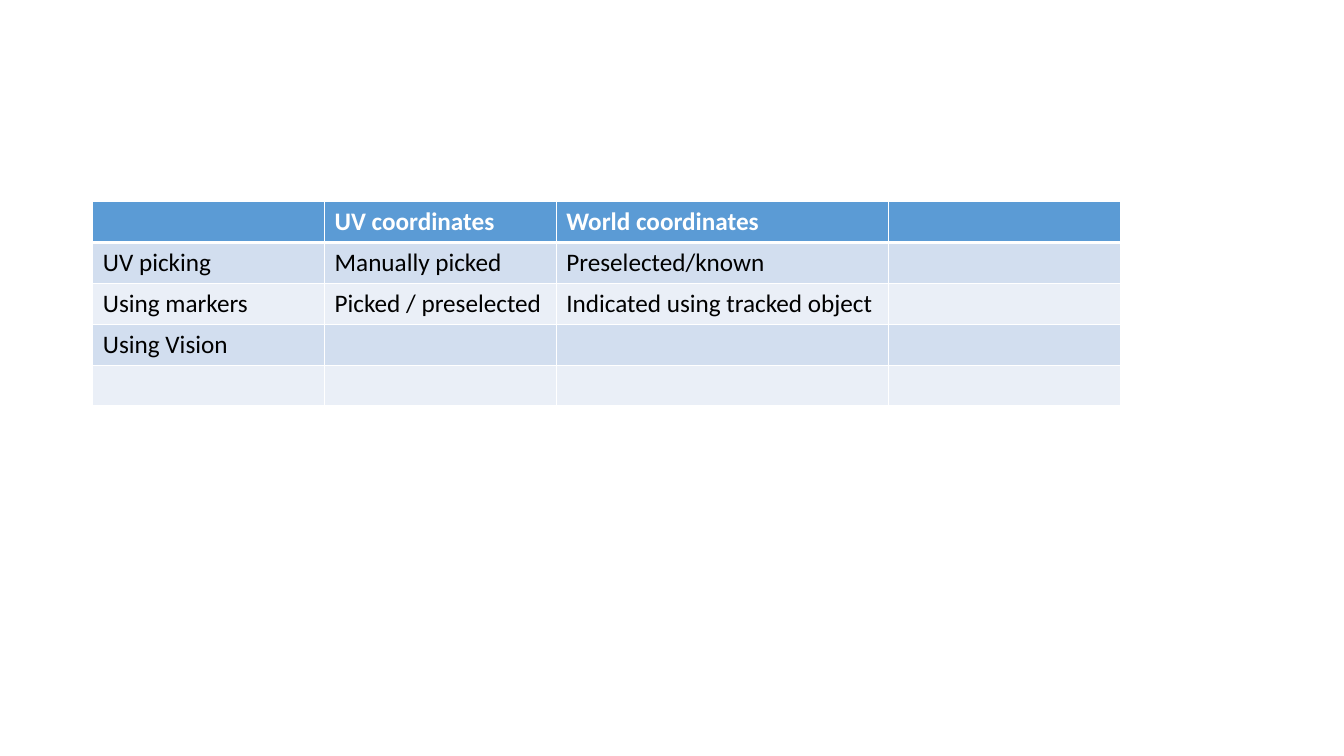
from dataclasses import dataclass

from lxml.etree import SubElement
from pptx import Presentation
from pptx.dml.color import RGBColor
from pptx.oxml.ns import qn
from pptx.util import Cm, Pt


@dataclass(frozen=True)
class Theme:
    """Hold the colours, font and sizes of the slide."""
    head: str = "5B9BD5"
    odd: str = "D2DEEF"
    even: str = "EAEFF7"
    white: str = "FFFFFF"
    black: str = "000000"
    font: str = "Calibri"
    size: int = 18
    thin: int = 1
    thick: int = 3


THEME = Theme()
WIDTHS = (5.84, 5.84, 8.38, 5.84)
ROWS = (
    ("", "UV coordinates", "World coordinates", ""),
    ("UV picking", "Manually picked", "Preselected/known", ""),
    ("Using markers", "Picked / preselected", "Indicated using tracked object", ""),
    ("Using Vision", "", "", ""),
    ("", "", "", ""),
)


def write(cell, text, color, bold=False):
    """Put formatted text in a cell."""
    cell.text = text
    for run in cell.text_frame.paragraphs[0].runs:
        font = run.font
        font.name, font.size, font.bold = THEME.font, Pt(THEME.size), bold
        font.color.rgb = RGBColor.from_string(color)


def edge(cell, top, base):
    """Draw the four borders of a cell."""
    props = cell._tc.get_or_add_tcPr()
    sides = {"L": THEME.thin, "R": THEME.thin, "T": top, "B": base}
    for side, width in sides.items():
        line = SubElement(props, qn(f"a:ln{side}"), w=str(Pt(width)))
        fill = SubElement(line, qn("a:solidFill"))
        SubElement(fill, qn("a:srgbClr"), val=THEME.white)


def paint(cell, color):
    """Fill a cell with one colour."""
    cell.fill.solid()
    cell.fill.fore_color.rgb = RGBColor.from_string(color)


def grid(slide, left, top, width, height):
    """Place the table of coordinate methods in the given box."""
    frame = slide.shapes.add_table(len(ROWS), len(WIDTHS), left, top, width, height)
    table = frame.table
    for col, part in zip(table.columns, WIDTHS):
        col.width = int(width * part / sum(WIDTHS))
    for i, texts in enumerate(ROWS):
        head = i == 0
        back = THEME.head if head else THEME.odd if i % 2 else THEME.even
        ink = THEME.white if head else THEME.black
        roof = THEME.thick if i == 1 else THEME.thin
        base = THEME.thick if head else THEME.thin
        for j, text in enumerate(texts):
            cell = table.cell(i, j)
            write(cell, text, ink, bold=head)
            edge(cell, roof, base)
            paint(cell, back)


def main():
    """Build and save the slide."""
    deck = Presentation()
    deck.slide_width, deck.slide_height = Cm(33.87), Cm(19.05)
    slide = deck.slides.add_slide(deck.slide_layouts[6])
    grid(slide, Cm(2.34), Cm(5.08), Cm(sum(WIDTHS)), Cm(5.15))
    deck.save("out.pptx")


if __name__ == "__main__":
    main()
